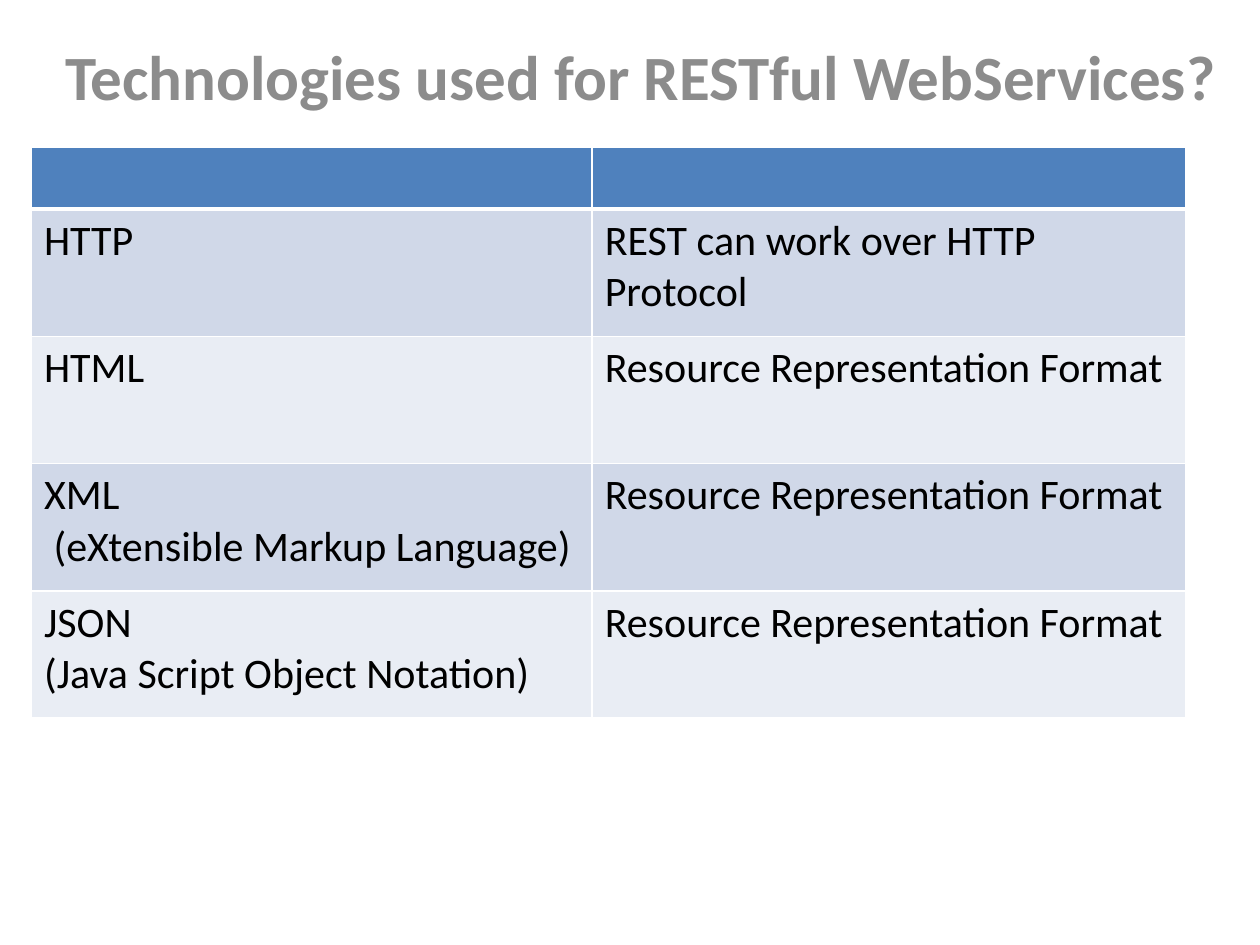
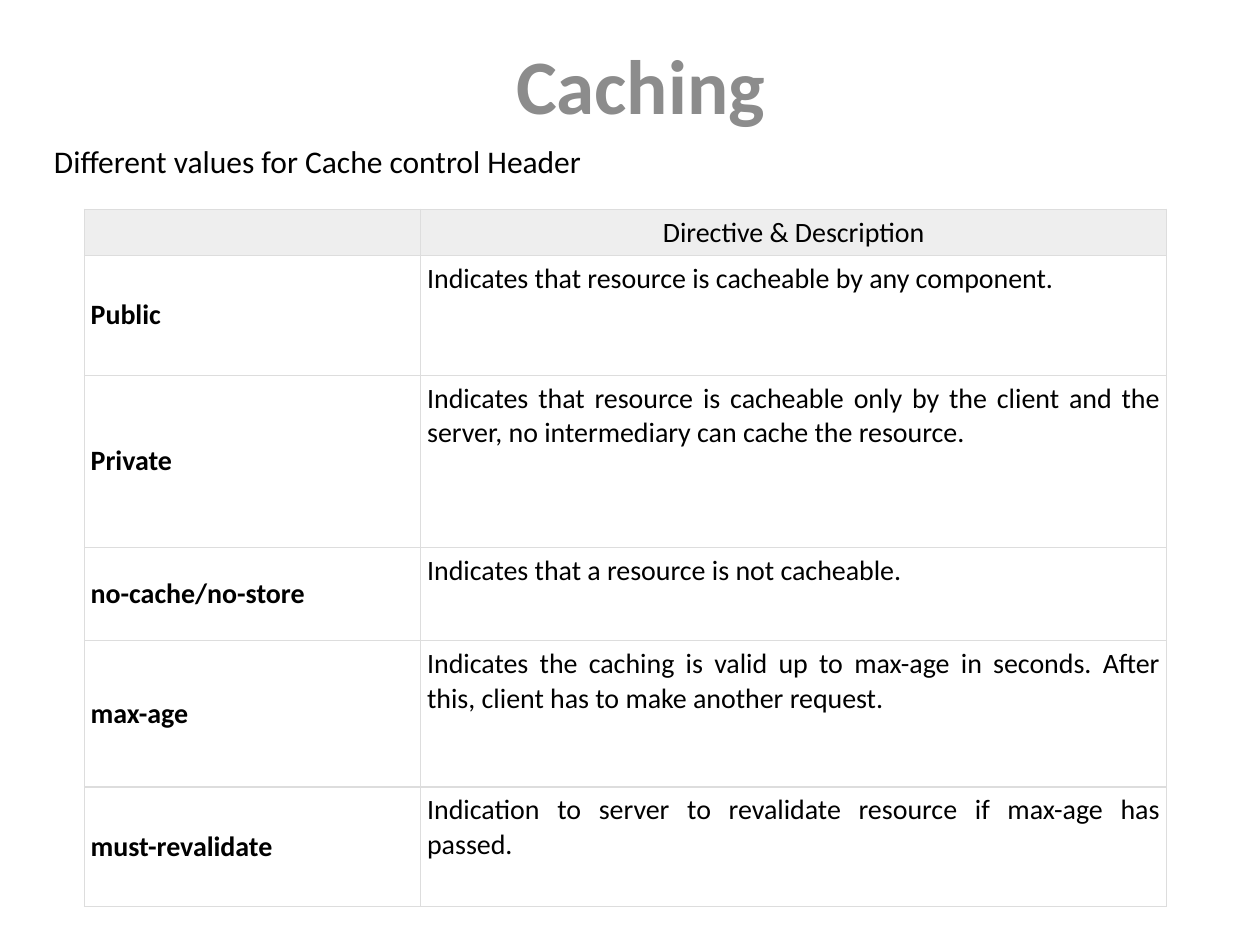
from pptx import Presentation
from pptx.dml.color import RGBColor
from pptx.enum.text import MSO_ANCHOR, PP_ALIGN
from pptx.oxml.xmlchemy import OxmlElement
from pptx.util import Inches, Pt


def colour(value):
    """Turn a hex string into a colour."""
    return RGBColor.from_string(value)


class Deck:
    """Holds the shared style and the slide being built."""

    FONT = "Calibri"
    TITLE = "8C8C8C"
    TEXT = "000000"

    def __init__(self):
        """Start an empty deck of 10 by 7.5 inches."""
        self.presentation = Presentation()
        self.presentation.slide_width = Inches(10)
        self.presentation.slide_height = Inches(7.5)
        self.slide = None

    def new_slide(self, title, size):
        """Add a blank slide with its centred title."""
        self.slide = self.presentation.slides.add_slide(self.presentation.slide_layouts[6])
        self.text(title, (0.17, 0.25, 9.83, 0.83), size, self.TITLE, True, PP_ALIGN.CENTER)

    def format(self, frame, size, ink, bold, align):
        """Style every paragraph and run of a text frame."""
        for paragraph in frame.paragraphs:
            paragraph.alignment = align
            for run in paragraph.runs:
                run.font.name = self.FONT
                run.font.size = Pt(size)
                run.font.bold = bold
                run.font.color.rgb = colour(ink)

    def text(self, words, box, size, ink=TEXT, bold=False, align=PP_ALIGN.LEFT):
        """Add a wrapped text box."""
        frame = self.slide.shapes.add_textbox(*map(Inches, box)).text_frame
        frame.word_wrap = True
        frame.text = words
        self.format(frame, size, ink, bold, align)

    def table(self, left, top, widths, heights):
        """Add a table without the built-in banding."""
        box = map(Inches, (left, top, sum(widths), sum(heights)))
        table = self.slide.shapes.add_table(len(heights), len(widths), *box).table
        table.first_row = table.horz_banding = False
        for column, width in zip(table.columns, widths):
            column.width = Inches(width)
        for row, height in zip(table.rows, heights):
            row.height = Inches(height)
        return table

    def cell(self, cell, words, size, fill=None, bold=False, align=PP_ALIGN.LEFT,
             anchor=MSO_ANCHOR.TOP, inset=None):
        """Fill in and style one table cell."""
        cell.text = words
        cell.vertical_anchor = anchor
        if inset is not None:
            cell.margin_left = cell.margin_right = Inches(inset)
            cell.margin_top = cell.margin_bottom = Inches(inset)
        self.format(cell.text_frame, size, self.TEXT, bold, align)
        if not words:
            end = OxmlElement("a:endParaRPr")
            end.set("sz", str(size * 100))
            cell.text_frame.paragraphs[0]._p.append(end)
        if fill:
            cell.fill.solid()
            cell.fill.fore_color.rgb = colour(fill)
        else:
            cell.fill.background()

    def borders(self, table, ink, width, header_rule):
        """Rule all cells, with a separate width under the header."""
        for index, row in enumerate(table.rows):
            rules = {"L": width, "R": width,
                     "T": header_rule if index == 1 else width,
                     "B": header_rule if index == 0 else width}
            for cell in row.cells:
                properties = cell._tc.get_or_add_tcPr()
                for position, (side, points) in enumerate(rules.items()):
                    line = OxmlElement(f"a:ln{side}")
                    line.set("w", str(Pt(points)))
                    fill = OxmlElement("a:solidFill")
                    shade = OxmlElement("a:srgbClr")
                    shade.set("val", ink)
                    fill.append(shade)
                    line.append(fill)
                    properties.insert(position, line)


deck = Deck()

deck.new_slide("Technologies used for RESTful WebServices?", 36)
representation = "Resource Representation Format"
technologies = [
    ("", ""),
    ("HTTP", "REST can work over HTTP Protocol"),
    ("HTML", representation),
    ("XML\n (eXtensible Markup Language)", representation),
    ("JSON\n(Java Script Object Notation)", representation),
]
technology_table = deck.table(0.25, 1.17, [4.45, 4.71], [0.49] + [1.01] * 4)
for index, entry in enumerate(technologies):
    fill = "4F81BD" if index == 0 else ("E9EDF4", "D0D8E8")[index % 2]
    size = 18 if index == 0 else 24
    for cell, words in zip(technology_table.rows[index].cells, entry):
        deck.cell(cell, words, size, fill)
deck.borders(technology_table, "FFFFFF", 1, 3)

deck.new_slide("Caching", 44)
deck.text("Different values for Cache control Header", (0.33, 1.08, 9.25, 0.4), 18)
directives = [
    ("Public", "Indicates that resource is cacheable by any component."),
    ("Private", "Indicates that resource is cacheable only by the client and the server, "
                "no intermediary can cache the resource."),
    ("no-cache/no-store", "Indicates that a resource is not cacheable."),
    ("max-age", "Indicates the caching is valid up to max-age in seconds. "
                "After this, client has to make another request."),
    ("must-revalidate", "Indication to server to revalidate resource if max-age has passed."),
]
directive_table = deck.table(0.67, 1.66, [2.67, 5.92], [0.36, 0.95, 1.37, 0.74, 1.16, 0.95])
for cell, words in zip(directive_table.rows[0].cells, ("", "Directive & Description")):
    deck.cell(cell, words, 16, "EEEEEE", align=PP_ALIGN.CENTER, inset=0.05)
for index, (directive, description) in enumerate(directives, 1):
    deck.cell(directive_table.cell(index, 0), directive, 16, bold=True,
              align=PP_ALIGN.JUSTIFY, anchor=MSO_ANCHOR.MIDDLE, inset=0.05)
    deck.cell(directive_table.cell(index, 1), description, 16,
              align=PP_ALIGN.JUSTIFY, inset=0.05)
deck.borders(directive_table, "DDDDDD", 0.75, 0.75)

deck.presentation.save("out.pptx")
